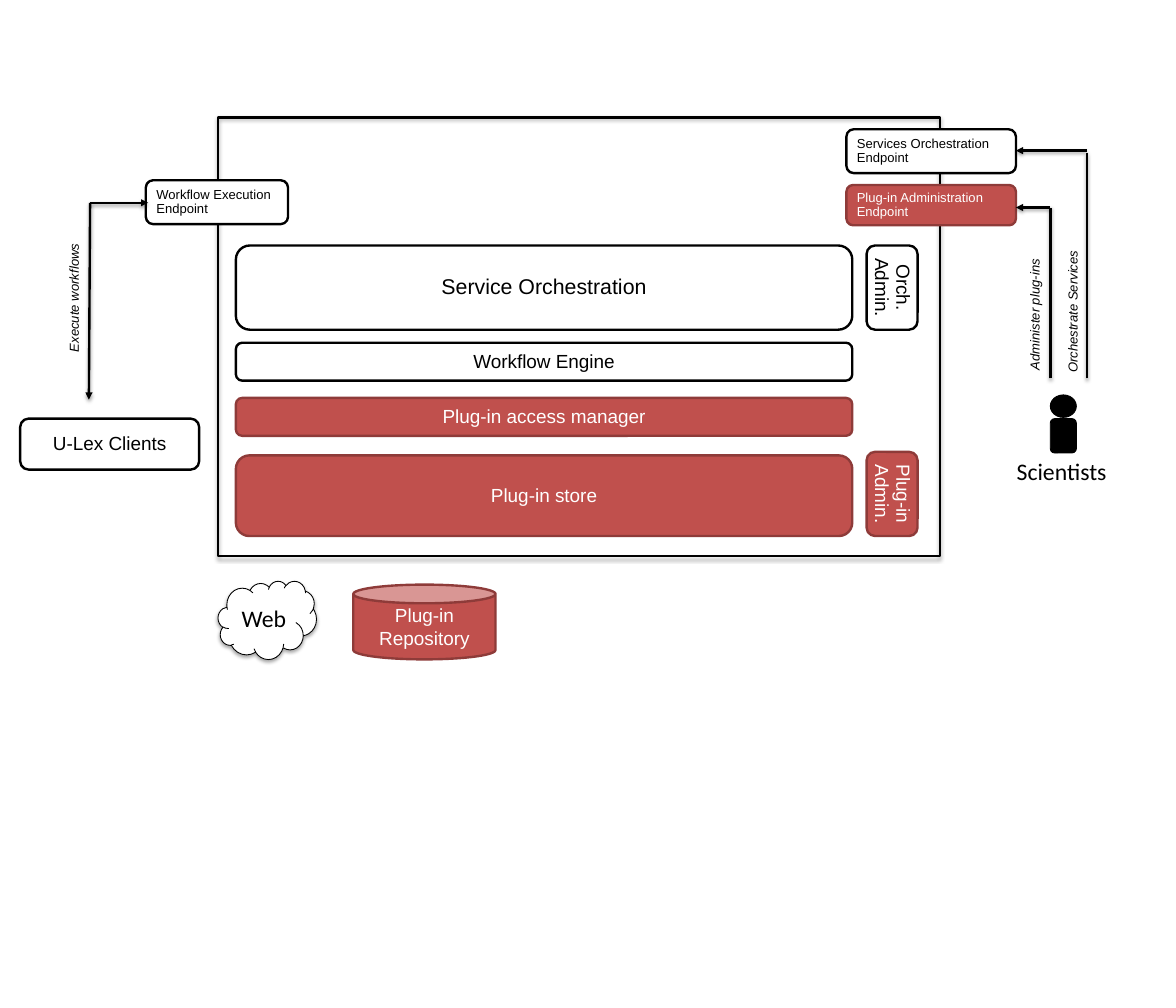
import pptx
import pptx.util
import pptx.dml.color
import pptx.enum.shapes
import pptx.enum.text
import pptx.oxml.ns
import lxml.etree

Pt = pptx.util.Pt
KIND = pptx.enum.shapes.MSO_SHAPE
ALIGN = pptx.enum.text.PP_ALIGN
ANCHOR = pptx.enum.text.MSO_ANCHOR
qn = pptx.oxml.ns.qn

COLOURS = {"black": "000000", "white": "FFFFFF", "red": "C0504D", "dark red": "8E3B39"}
# style: fill, outline, text colour
STYLES = {
    "plain": ("white", "black", "black"),
    "plugin": ("red", "dark red", "white"),
    "frame": (None, "black", "black"),
    "person": ("black", "black", "white"),
}

FRAME = (184, 99, 609, 370)
LAYER_LEFT, LAYER_WIDTH = 199, 520
# text, top, height, size, style
LAYERS = [
    ("Service Orchestration", 207, 71, 18, "plain"),
    ("Workflow Engine", 289, 32, 16, "plain"),
    ("Plug-in access manager", 335.5, 32, 16, "plugin"),
    ("Plug-in store", 384, 68, 16, "plugin"),
]
# text, place, style
ENDPOINTS = [
    ("Workflow Execution Endpoint", (123, 152, 120, 37), "plain"),
    ("Services Orchestration Endpoint", (714, 109, 143, 37), "plain"),
    ("Plug-in Administration Endpoint", (714, 156, 143, 34), "plugin"),
]
# text, top, style
ADMINS = [("Orch. Admin.", 221, "plain"), ("Plug-in Admin.", 395, "plugin")]
CLIENTS = ("U-Lex Clients", (17, 353, 151, 43))
WEB = ("Web", (184, 490, 83, 66))
REPOSITORY = ("Plug-in Repository", (298, 493, 120, 63))
SCIENTISTS = ("Scientists", (849, 382, 93, 32))
# start, end, end that carries the arrowhead
LINES = [
    ((76, 171), (125, 171), "tailEnd"),
    ((75, 337), (76, 171), "headEnd"),
    ((857, 127), (917, 127), "headEnd"),
    ((917, 319), (917, 129), None),
    ((857, 175), (886, 175), "headEnd"),
    ((886, 319), (886, 175), None),
]
# text, centre across, bottom end
LABELS = [
    ("Execute workflows", 62.5, 304),
    ("Orchestrate Services", 905, 321.5),
    ("Administer plug-ins", 873, 319.5),
]
LABEL_LENGTH, LABEL_HEIGHT = 118, 21


def colour(name):
    """Return the named colour."""
    return pptx.dml.color.RGBColor.from_string(COLOURS[name])


def set_shadow(shape, opacity=0):
    """Give a shape a soft shadow below it, or none at zero opacity."""
    effects = lxml.etree.SubElement(shape.element.spPr, qn("a:effectLst"))
    if opacity:
        shadow = lxml.etree.SubElement(
            effects, qn("a:outerShdw"), blurRad=str(Pt(3.1)), dist=str(Pt(1.8)),
            dir="5400000", rotWithShape="0")
        tint = lxml.etree.SubElement(shadow, qn("a:srgbClr"), val=COLOURS["black"])
        lxml.etree.SubElement(tint, qn("a:alpha"), val=str(opacity * 1000))


def write(shape, text, size, ink="black", font="Arial", align=ALIGN.CENTER,
          spacing=None, italic=False):
    """Write one formatted paragraph into a shape."""
    frame = shape.text_frame
    frame.word_wrap = True
    para = frame.paragraphs[0]
    para.alignment = align
    if spacing:
        para.line_spacing = spacing
    span = para.add_run()
    span.text = text
    span.font.size = Pt(size)
    span.font.name = font
    span.font.italic = italic
    span.font.color.rgb = colour(ink)


def add_box(parent, kind, place, style, width=2, shadow=0):
    """Add a preset shape in one of the styles."""
    fill, outline, _ = STYLES[style]
    box = parent.add_shape(kind, *map(Pt, place))
    if fill:
        box.fill.solid()
        box.fill.fore_color.rgb = colour(fill)
    else:
        box.fill.background()
    box.line.color.rgb = colour(outline)
    box.line.width = Pt(width)
    set_shadow(box, shadow)
    box.text_frame.vertical_anchor = ANCHOR.MIDDLE
    return box


def add_part(parent, text, place, style, size=16, align=ALIGN.CENTER):
    """Add a rounded box with its name."""
    box = add_box(parent, KIND.ROUNDED_RECTANGLE, place, style)
    write(box, text, size, STYLES[style][2], align=align, spacing=0.93)
    return box


def add_line(parent, start, end, head):
    """Add a straight line with an optional arrowhead."""
    line = parent.add_connector(
        pptx.enum.shapes.MSO_CONNECTOR.STRAIGHT, *map(Pt, start + end))
    line.line.color.rgb = colour("black")
    line.line.width = Pt(2)
    if head:
        outline = line.element.spPr.find(qn("a:ln"))
        lxml.etree.SubElement(outline, qn("a:" + head), type="triangle")
    set_shadow(line, 38)


def add_label(parent, text, centre, bottom):
    """Add an italic label that reads upwards from its bottom end."""
    left = centre - LABEL_LENGTH / 2
    top = bottom - LABEL_LENGTH / 2 - LABEL_HEIGHT / 2
    label = parent.add_textbox(*map(Pt, (left, top, LABEL_LENGTH, LABEL_HEIGHT)))
    label.rotation = 270
    write(label, text, 11, align=ALIGN.LEFT, italic=True)


def add_scientists(parent):
    """Add the grouped figure with its caption."""
    person = parent.add_group_shape().shapes
    add_box(person, KIND.OVAL, (886, 333, 22, 19), "person", 0.75)
    add_box(person, KIND.ROUNDED_RECTANGLE, (886, 353, 22, 29), "person", 0.75)
    text, place = SCIENTISTS
    write(person.add_textbox(*map(Pt, place)), text, 20, font="Calibri")


deck = pptx.Presentation()
deck.slide_width, deck.slide_height = Pt(992), Pt(850)
page = deck.slides.add_slide(deck.slide_layouts[6])
shapes = page.shapes

add_box(shapes, KIND.RECTANGLE, FRAME, "frame", shadow=35)
for text, top, height, size, style in LAYERS:
    add_part(shapes, text, (LAYER_LEFT, top, LAYER_WIDTH, height), style, size)
for text, top, style in ADMINS:
    add_part(shapes, text, (717, top, 71, 43), style).rotation = 90
for text, place, style in ENDPOINTS:
    add_part(shapes, text, place, style, 11, ALIGN.LEFT)
add_part(shapes, *CLIENTS, "plain")

text, place = WEB
write(add_box(shapes, KIND.CLOUD, place, "plain", 0.75, 35), text, 20, font="Calibri")
text, place = REPOSITORY
write(add_box(shapes, KIND.CAN, place, "plugin"), text, 16, "white")

for line in LINES:
    add_line(shapes, *line)
for label in LABELS:
    add_label(shapes, *label)
add_scientists(shapes)

deck.save("out.pptx")
